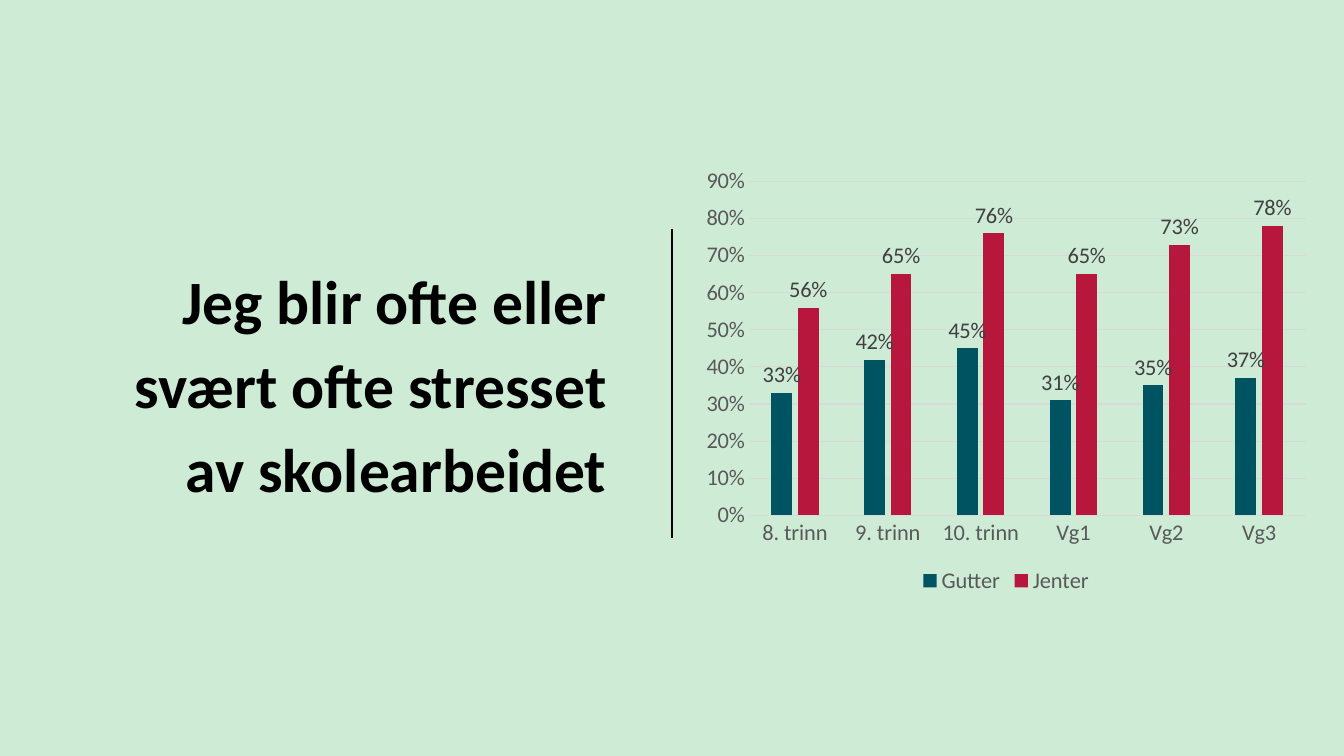
from lxml import etree
from pptx import Presentation
from pptx.chart.data import CategoryChartData
from pptx.dml.color import RGBColor
from pptx.enum.chart import XL_CHART_TYPE, XL_LABEL_POSITION, XL_LEGEND_POSITION, XL_TICK_MARK
from pptx.enum.shapes import MSO_CONNECTOR
from pptx.enum.text import MSO_ANCHOR, PP_ALIGN
from pptx.oxml.ns import qn
from pptx.util import Emu, Pt

SLIDE_W, SLIDE_H = 1344, 756
EMU_PER_PX = 12192000 / SLIDE_W
FONT = "Calibri"
COLORS = {
    "background": "CEEBD6",
    "title": "000000",
    "axis": "595959",
    "value": "404040",
    "grid": "D9D9D9",
    "Gutter": "005462",
    "Jenter": "B7173D",
}
GRADES = ["8. trinn", "9. trinn", "10. trinn", "Vg1", "Vg2", "Vg3"]
STRESSED = {
    "Gutter": [0.33, 0.42, 0.45, 0.31, 0.35, 0.37],
    "Jenter": [0.56, 0.65, 0.76, 0.65, 0.73, 0.78],
}


def px(length):
    return Emu(round(length * EMU_PER_PX))


def color(name):
    return RGBColor.from_string(COLORS[name])


def style_font(font, size, color_name, bold=False):
    font.name = FONT
    font.size = Pt(size)
    font.bold = bold
    font.color.rgb = color(color_name)


def style_line(line, color_name, width):
    line.color.rgb = color(color_name)
    line.width = Pt(width)


def add_statement(slide, left, top, width, height):
    statement = slide.shapes.add_textbox(px(left), px(top), px(width), px(height))
    frame = statement.text_frame
    frame.text = "Jeg blir ofte eller svært ofte stresset av skolearbeidet"
    frame.word_wrap = True
    frame.vertical_anchor = MSO_ANCHOR.MIDDLE
    frame.margin_left = frame.margin_right = frame.margin_top = frame.margin_bottom = 0
    paragraph = frame.paragraphs[0]
    paragraph.alignment = PP_ALIGN.RIGHT
    paragraph.line_spacing = Pt(60)
    style_font(paragraph.runs[0].font, 44, "title", bold=True)


def add_divider(slide, x, top, height):
    divider = slide.shapes.add_connector(
        MSO_CONNECTOR.STRAIGHT, px(x), px(top), px(x), px(top + height))
    style_line(divider.line, "title", 1)
    etree.SubElement(divider._element.spPr, qn("a:effectLst"))


def add_stress_chart(slide, left, top, width, height):
    data = CategoryChartData(number_format="0%")
    data.categories = GRADES
    for group, shares in STRESSED.items():
        data.add_series(group, shares)
    chart = slide.shapes.add_chart(
        XL_CHART_TYPE.COLUMN_CLUSTERED, px(left), px(top), px(width), px(height), data).chart
    style_font(chart.font, 16, "title")
    chart.has_title = False

    # Columns and their value labels
    plot = chart.plots[0]
    plot.gap_width = 219
    plot.overlap = -27
    plot.vary_by_categories = False
    for series in plot.series:
        series.format.fill.solid()
        series.format.fill.fore_color.rgb = color(series.name)
        labels = series.data_labels
        labels.show_value = True
        labels.position = XL_LABEL_POSITION.OUTSIDE_END
        labels.number_format = "0%"
        labels.number_format_is_linked = False
        style_font(labels.font, 16, "value")

    # Axes
    grades, shares = chart.category_axis, chart.value_axis
    for axis in (grades, shares):
        axis.major_tick_mark = axis.minor_tick_mark = XL_TICK_MARK.NONE
        style_font(axis.tick_labels.font, 16, "axis")
    style_line(grades.format.line, "grid", 0.75)
    shares.minimum_scale, shares.maximum_scale, shares.major_unit = 0, 0.9, 0.1
    shares.tick_labels.number_format = "0%"
    shares.tick_labels.number_format_is_linked = False
    shares.format.line.fill.background()
    style_line(shares.major_gridlines.format.line, "grid", 0.75)

    # Legend
    chart.has_legend = True
    chart.legend.position = XL_LEGEND_POSITION.BOTTOM
    chart.legend.include_in_layout = False
    style_font(chart.legend.font, 16, "axis")


def main():
    deck = Presentation()
    deck.slide_width, deck.slide_height = px(SLIDE_W), px(SLIDE_H)
    slide = deck.slides.add_slide(deck.slide_layouts[6])
    slide.background.fill.solid()
    slide.background.fill.fore_color.rgb = color("background")
    add_divider(slide, SLIDE_W // 2, 229, 309)
    add_statement(slide, 102, 236, 505, 285)
    add_stress_chart(slide, 694, 159, 624, 440)
    deck.save("out.pptx")


if __name__ == "__main__":
    main()
